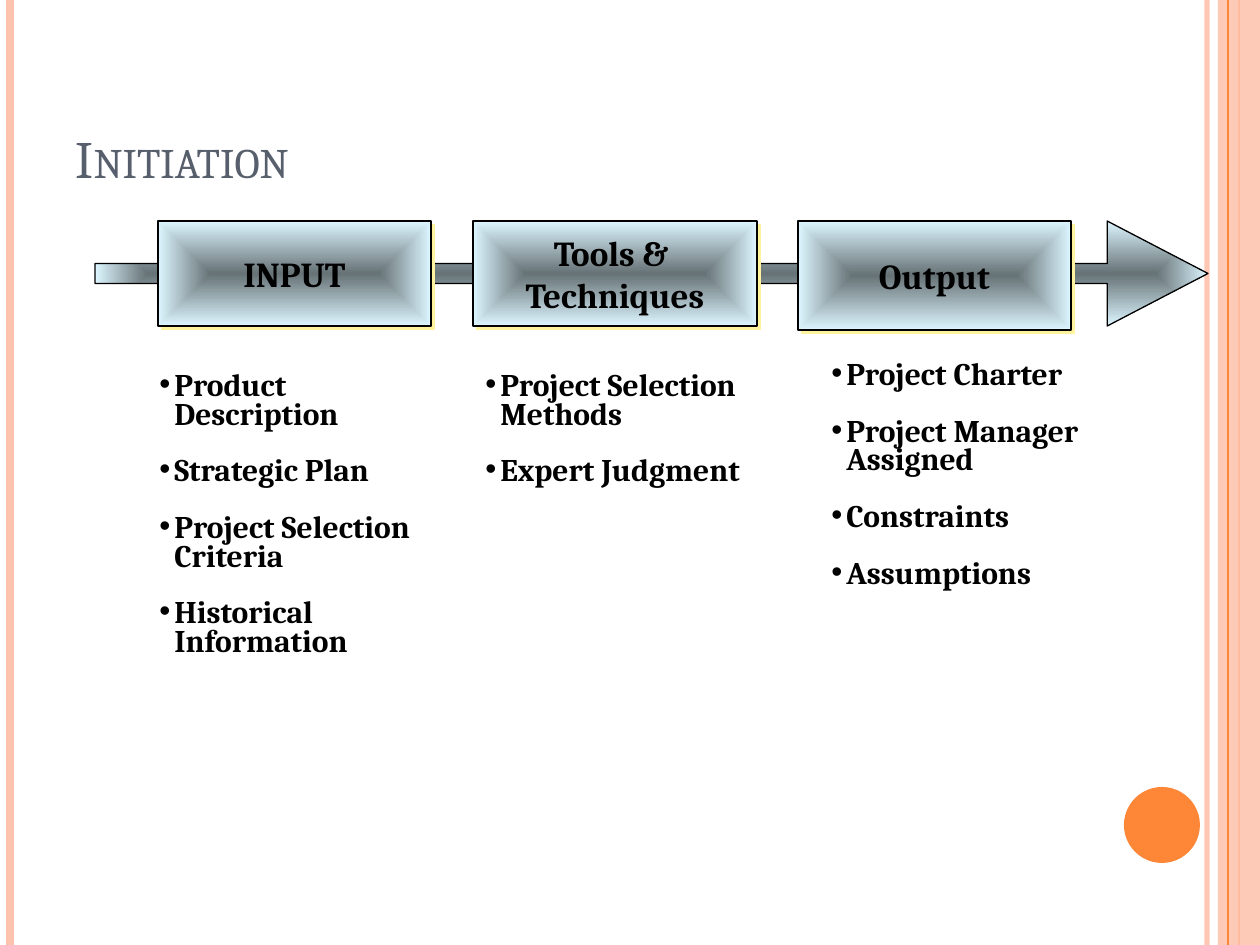
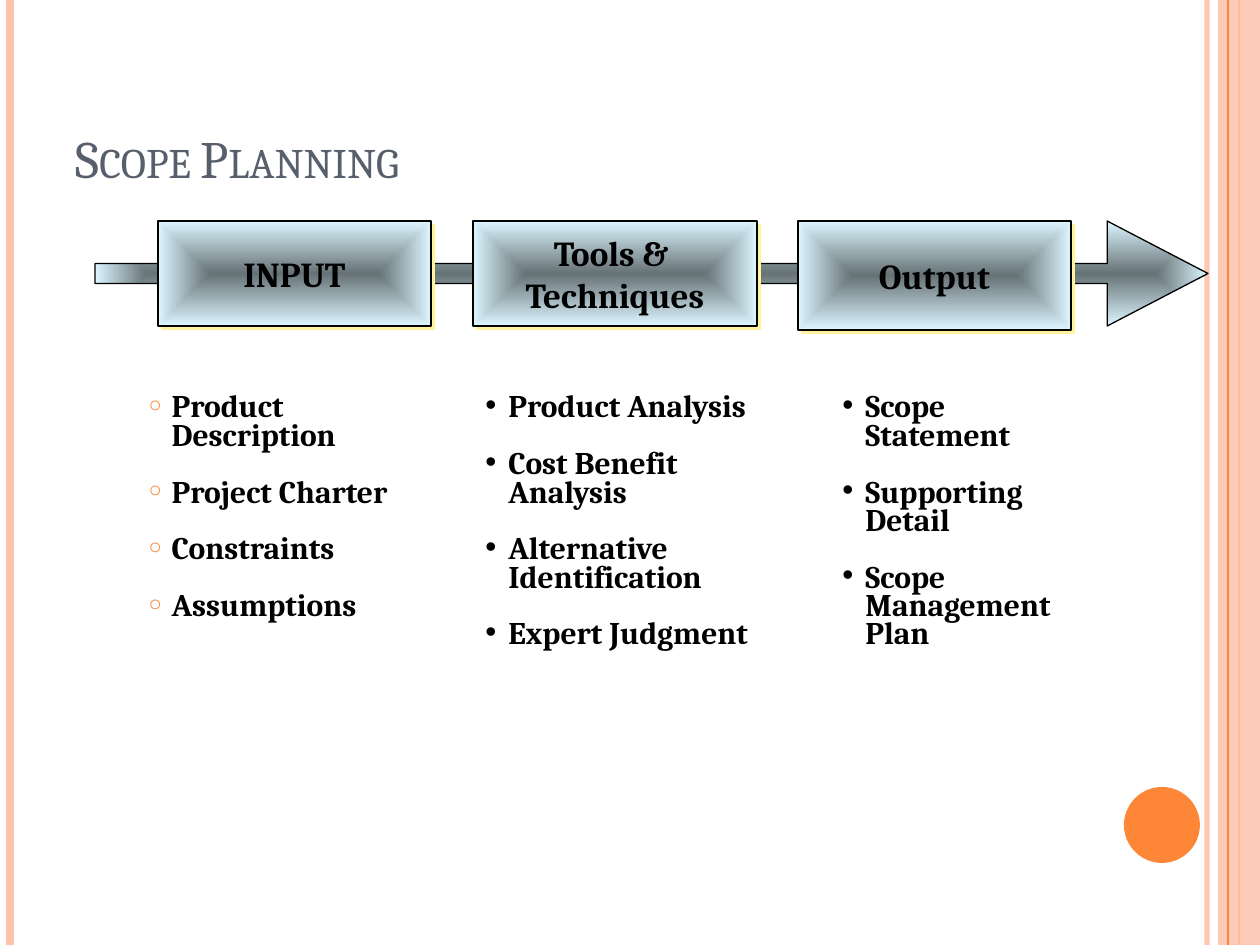
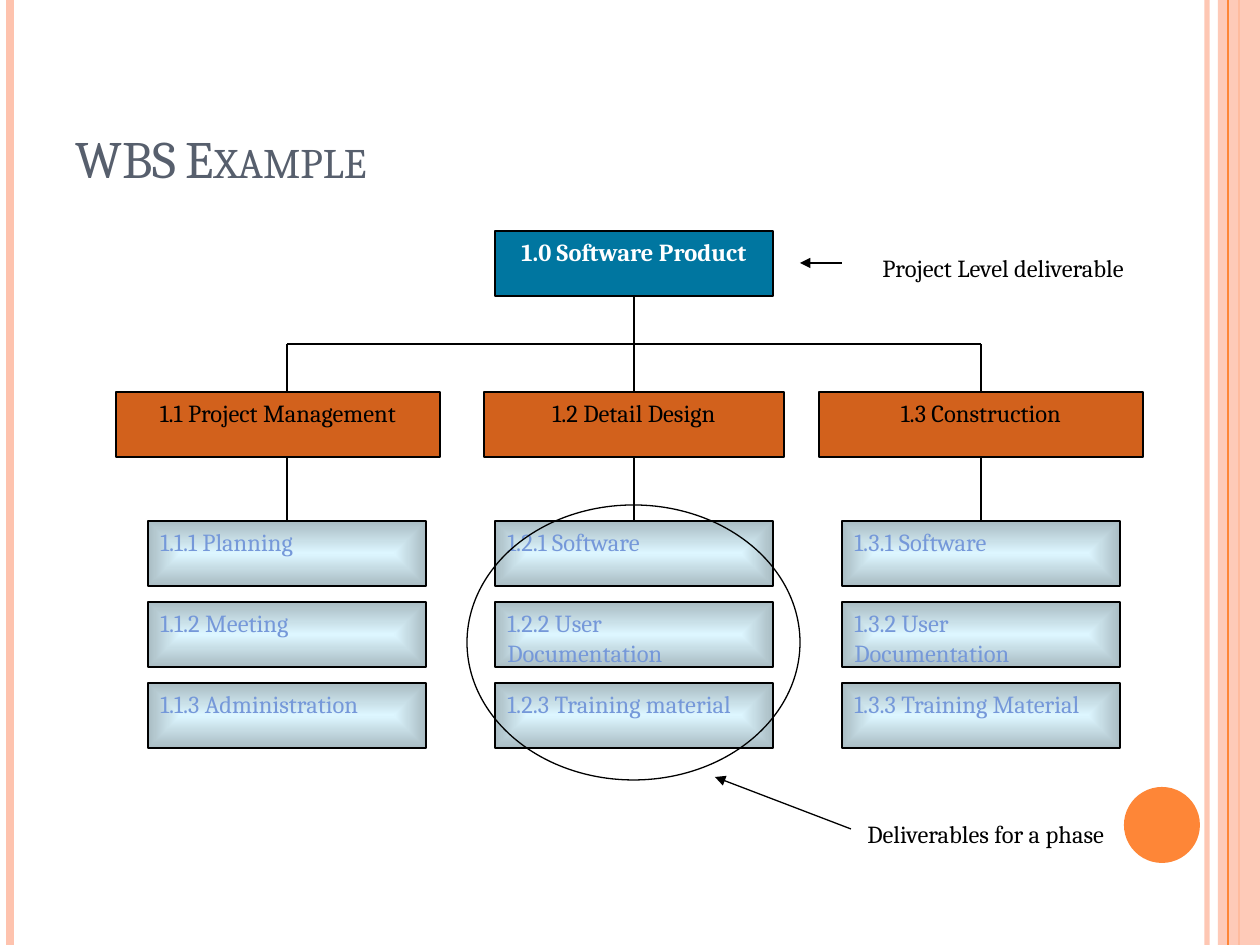
from lxml.etree import SubElement
from pptx import Presentation
from pptx.dml.color import RGBColor
from pptx.enum.shapes import MSO_CONNECTOR, MSO_SHAPE as SHAPE
from pptx.enum.text import MSO_ANCHOR as ANCHOR, MSO_AUTO_SIZE as AUTO, PP_ALIGN as ALIGN
from pptx.oxml import parse_xml
from pptx.oxml.ns import nsdecls, qn
from pptx.util import Emu, Pt

COLORS = {
    "black": "000000", "white": "FFFFFF", "title": "575F6D",
    "accent": "FE8637", "band": "FEC3AE", "glow": "FFF39D",
    "steel": "667276", "ice": "DDF6FF", "mist": "A9BCC3",
    "root": "0076A0", "branch": "D2611C", "leaf": "7598D9",
}
FONT = "Cambria"
SLIDE_W, SLIDE_H = 1260, 945
TITLE_AT = (63, 38, 1029, 157)

FLOW_ARROW = (95, 221, 1113, 105)
FLOW_STAGES = [
    (["INPUT"], (158, 221, 273, 105)),
    (["Tools & ", "Techniques"], (473, 221, 284, 105)),
    (["Output"], (798, 221, 273, 109)),
]
FLOWS = [
    {"title": "Initiation", "layout": 5, "hang": 15, "columns": [
        ((147, 368, 294, 297), ["Product Description", "Strategic Plan",
                                "Project Selection Criteria", "Historical Information"]),
        ((473, 368, 315, 126), ["Project Selection Methods", "Expert Judgment"]),
        ((819, 357, 305, 241), ["Project Charter", "Project Manager Assigned",
                                "Constraints", "Assumptions"]),
    ]},
    {"title": "Scope Planning", "layout": 1, "hang": 23, "columns": [
        ((136, 389, 284, 273), ["Product Description", "Project Charter",
                                "Constraints", "Assumptions"]),
        ((473, 389, 294, 273), ["Product Analysis", "Cost Benefit Analysis",
                                "Alternative Identification", "Expert Judgment"]),
        ((830, 389, 273, 273), ["Scope Statement", "Supporting Detail",
                                "Scope Management Plan"]),
    ]},
]

WBS_TITLE = "WBS Example"
WBS_ROOT = "1.0 Software Product"
WBS_BRANCHES = [
    ("1.1 Project Management", 116, 324,
     ["1.1.1 Planning", "1.1.2 Meeting", "1.1.3 Administration"]),
    ("1.2 Detail Design", 484, 300,
     ["1.2.1 Software", "1.2.2 User Documentation", "1.2.3 Training material"]),
    ("1.3 Construction", 819, 324,
     ["1.3.1 Software", "1.3.2 User Documentation", "1.3.3 Training Material"]),
]
WBS_NOTES = [
    ("Project Level deliverable", (870, 247, 275, 49), (842, 263, 800, 263)),
    ("Deliverables for a phase", (855, 813, 278, 49), (851, 829, 715, 777)),
]
PHASE_RING = (467, 505, 333, 275)
COLUMN_X, COLUMN_STEP = 287, 347
NODE_W, NODE_H = 278, 65
ROOT_Y, BUS_Y, BRANCH_Y, LEAF_Y, LEAF_STEP = 231, 344, 392, 521, 81


def px(*lengths):
    return [Emu(round(length * 914400 / 126)) for length in lengths]


def rgb(color):
    return RGBColor.from_string(COLORS[color])


def add_alpha(fill_or_line, percent):
    SubElement(fill_or_line.find(".//" + qn("a:srgbClr")), qn("a:alpha"), val=str(percent * 1000))


def write(frame, lines, size, color="black", bold=False, align=ALIGN.LEFT):
    for index, words in enumerate(lines):
        paragraph = frame.add_paragraph() if index else frame.paragraphs[0]
        paragraph.alignment = align
        run = paragraph.add_run()
        run.text = words
        run.font.name, run.font.size, run.font.bold = FONT, Pt(size), bold
        run.font.color.rgb = rgb(color)


def add_figure(slide, kind, at, fill=None, outline="black"):
    figure = slide.shapes.add_shape(kind, *px(*at))
    figure.shadow.inherit = False
    if fill:
        figure.fill.solid()
        figure.fill.fore_color.rgb = rgb(fill)
    else:
        figure.fill.background()
    if outline:
        figure.line.color.rgb = rgb(outline)
        figure.line.width = Pt(0.75)
    else:
        figure.line.fill.background()
    return figure


def add_gradient(figure, center, edge, path="shape"):
    stops = "".join(
        f'<a:gs pos="{position}"><a:srgbClr val="{COLORS[color]}"/></a:gs>'
        for position, color in ((0, center), (100000, edge)))
    gradient = parse_xml(
        f'<a:gradFill {nsdecls("a")} rotWithShape="1"><a:gsLst>{stops}</a:gsLst>'
        f'<a:path path="{path}"><a:fillToRect l="50000" t="50000" r="50000" b="50000"/>'
        '</a:path></a:gradFill>')
    properties = figure.element.spPr
    properties.replace(properties.find(qn("a:noFill")), gradient)


def add_glow(figure):
    effects = figure.element.spPr.find(qn("a:effectLst"))
    glow = SubElement(effects, qn("a:outerShdw"), dist=str(Pt(2.8)), dir="2700000",
                      algn="ctr", rotWithShape="0")
    SubElement(glow, qn("a:srgbClr"), val=COLORS["glow"])


def add_line(slide, ends, color="black", width=0.75, arrow=False):
    line = slide.shapes.add_connector(MSO_CONNECTOR.STRAIGHT, *px(*ends))
    line.line.color.rgb = rgb(color)
    line.line.width = Pt(width)
    properties = line.element.spPr
    if arrow:
        SubElement(properties.find(qn("a:ln")), qn("a:tailEnd"), type="triangle")
    SubElement(properties, qn("a:effectLst"))
    return line


def add_bullets(box, items, hang, sign="•", color=None, percent=100):
    box.text_frame.word_wrap = True
    box.text_frame.auto_size = AUTO.NONE
    write(box.text_frame, items, 18, bold=True)
    for index, paragraph in enumerate(box.text_frame.paragraphs):
        paragraph.line_spacing = 0.75
        paragraph.space_before = Pt(16.2 if index else 0)
    indent = px(hang)[0]
    for element in box.element.iter(qn("a:p")):
        properties = element.get_or_add_pPr()
        properties.set("marL", str(indent))
        properties.set("indent", str(-indent))
        if color:
            SubElement(SubElement(properties, qn("a:buClr")), qn("a:srgbClr"), val=COLORS[color])
        SubElement(properties, qn("a:buSzPct"), val=str(percent * 1000))
        SubElement(properties, qn("a:buFont"), typeface="Arial")
        SubElement(properties, qn("a:buChar"), char=sign)


def place(holder, at):
    holder.left, holder.top, holder.width, holder.height = px(*at)


def start_slide(deck, title, layout=5):
    slide = deck.slides.add_slide(deck.slide_layouts[layout])
    heading = slide.shapes.title
    place(heading, TITLE_AT)
    heading.text_frame.vertical_anchor = ANCHOR.BOTTOM
    heading.text_frame.auto_size = AUTO.NONE
    write(heading.text_frame, [title], 30, "title")
    for properties in heading.element.iter(qn("a:rPr")):
        properties.set("cap", "small")
    return slide


def move_frame_to_master(deck, slide):
    inner = add_line(slide, (1207, 0, 1207, SLIDE_H), "band", 3)
    add_alpha(inner.element.spPr.find(qn("a:ln")), 93)
    left = add_line(slide, (10, 0, 10, SLIDE_H), "band", 4.5)
    outer = add_line(slide, (1239, 0, 1239, SLIDE_H), "accent", 1.5)
    band = add_figure(slide, SHAPE.RECTANGLE, (1218, 0, 42, SLIDE_H), "band", None)
    add_alpha(band.element.spPr.find(qn("a:solidFill")), 87)
    middle = add_line(slide, (1228, 0, 1228, SLIDE_H), "accent")
    disc = add_figure(slide, SHAPE.OVAL, (1124, 787, 76, 76), "accent", None)
    tree = deck.slide_master.element.cSld.spTree
    for index, part in enumerate((inner, left, outer, band, middle, disc)):
        part.element.find(".//" + qn("p:cNvPr")).set("id", str(100 + index))
        tree.insert(2 + index, part.element)


def draw_flow(slide, flow):
    arrow = add_figure(slide, SHAPE.RIGHT_ARROW, FLOW_ARROW)
    arrow.adjustments[0], arrow.adjustments[1] = 0.19, 0.96
    add_gradient(arrow, "steel", "ice", "rect")
    for lines, at in FLOW_STAGES:
        stage = add_figure(slide, SHAPE.RECTANGLE, at)
        add_gradient(stage, "steel", "ice")
        add_glow(stage)
        stage.text_frame.word_wrap = False
        stage.text_frame.vertical_anchor = ANCHOR.MIDDLE
        write(stage.text_frame, lines, 20, bold=True, align=ALIGN.CENTER)
    bodies = [holder for holder in slide.placeholders if holder.placeholder_format.idx == 1]
    for at, items in flow["columns"]:
        if bodies:
            body = bodies.pop()
            place(body, at)
            add_bullets(body, items, flow["hang"], "○", "accent", 70)
        else:
            add_bullets(slide.shapes.add_textbox(*px(*at)), items, flow["hang"])


def add_node(slide, words, at, fill=None, color="black", bold=False, align=ALIGN.CENTER):
    node = add_figure(slide, SHAPE.RECTANGLE, at, fill)
    if not fill:
        add_gradient(node, "ice", "mist")
    node.text_frame.word_wrap = True
    node.text_frame.vertical_anchor = ANCHOR.TOP
    write(node.text_frame, [words], 14, color, bold, align)
    return node


def draw_wbs(slide):
    centers = [COLUMN_X + COLUMN_STEP * column for column in range(len(WBS_BRANCHES))]
    middle = centers[1]
    root = add_node(slide, WBS_ROOT, (middle - NODE_W // 2, ROOT_Y, NODE_W, NODE_H),
                    "root", "white", True)
    add_line(slide, (centers[0], BUS_Y, centers[-1], BUS_Y))
    for center, (name, left, width, leaves) in zip(centers, WBS_BRANCHES):
        branch = add_node(slide, name, (left, BRANCH_Y, width, NODE_H), "branch")
        nodes = [
            add_node(slide, leaf, (center - NODE_W // 2, LEAF_Y + LEAF_STEP * row, NODE_W, NODE_H),
                     color="leaf", align=ALIGN.LEFT)
            for row, leaf in enumerate(leaves)]
        top = ROOT_Y + NODE_H if center == middle else BUS_Y
        drop = add_line(slide, (center, top, center, BRANCH_Y))
        stem = add_line(slide, (center, BRANCH_Y + NODE_H, center, LEAF_Y))
        stem.end_connect(nodes[0], 0)
        if center == middle:
            drop.begin_connect(root, 2)
        if 2 * left + width == 2 * center:
            drop.end_connect(branch, 0)
            stem.begin_connect(branch, 2)
    add_figure(slide, SHAPE.OVAL, PHASE_RING)
    for words, at, pointer in WBS_NOTES:
        add_line(slide, pointer, arrow=True)
        note = slide.shapes.add_textbox(*px(*at))
        note.text_frame.word_wrap = True
        write(note.text_frame, [words], 14)


def main():
    deck = Presentation()
    deck.slide_width, deck.slide_height = px(SLIDE_W, SLIDE_H)
    for flow in FLOWS:
        draw_flow(start_slide(deck, flow["title"], flow["layout"]), flow)
    wbs = start_slide(deck, WBS_TITLE)
    move_frame_to_master(deck, wbs)
    draw_wbs(wbs)
    deck.save("out.pptx")


if __name__ == "__main__":
    main()
